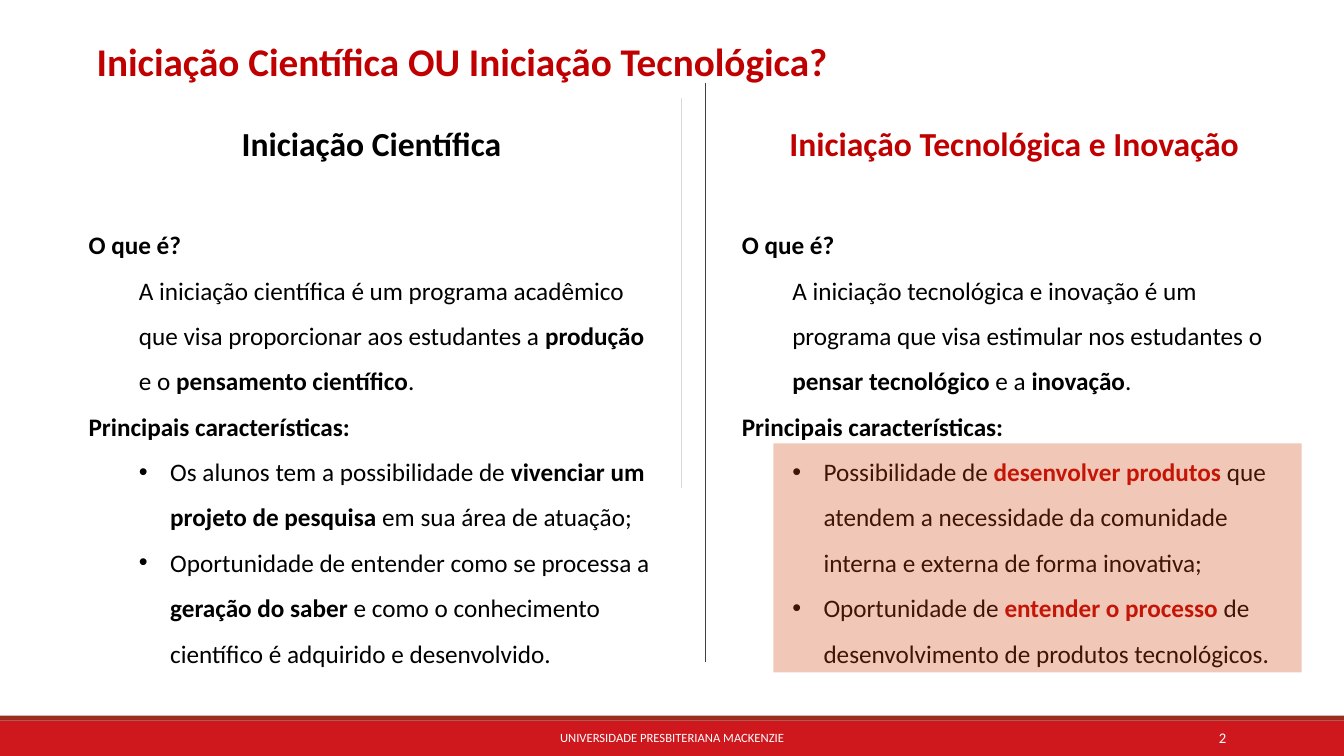
from dataclasses import dataclass
from lxml import etree
from pptx import Presentation
from pptx.dml.color import RGBColor
from pptx.enum.shapes import MSO_CONNECTOR, MSO_SHAPE
from pptx.enum.text import MSO_ANCHOR, PP_ALIGN
from pptx.oxml.ns import qn
from pptx.util import Inches, Pt

RECT = MSO_SHAPE.RECTANGLE
STRAIGHT = MSO_CONNECTOR.STRAIGHT
MIDDLE = MSO_ANCHOR.MIDDLE
LEFT, CENTER, RIGHT = PP_ALIGN.LEFT, PP_ALIGN.CENTER, PP_ALIGN.RIGHT


@dataclass(frozen=True)
class Theme:
    font: str = "Calibri"
    red: str = "C00000"
    black: str = "000000"
    white: str = "FFFFFF"
    footer: str = "CE181E"
    footer_edge: str = "9B2D1F"
    highlight: str = "D34817"
    pale_line: str = "D9D9D9"
    dark_line: str = "404040"
    title: float = 28
    heading: float = 24
    body: float = 18
    page: float = 10.5
    small: float = 9


T = Theme()


def write(tf, text, size=T.body, color=T.black, bold=False, accent=None,
          align=LEFT, spacing=None, before=None, margin=0, bullet=False):
    """Add a paragraph; parts between asterisks are bold, in the accent colour."""
    p = tf.paragraphs[0]
    if p.runs:
        p = tf.add_paragraph()
    p.alignment = align
    if spacing:
        p.line_spacing = spacing
    if before:
        p.space_before = Pt(before)
    pPr = p._p.get_or_add_pPr()
    pPr.set("marL", str(Inches(margin)))
    pPr.set("indent", str(Inches(-0.31 if bullet else 0)))
    if bullet:
        etree.SubElement(pPr, qn("a:buFont")).set("typeface", "Arial")
        etree.SubElement(pPr, qn("a:buChar")).set("char", "•")
    for i, part in enumerate(text.split("*")):
        if part:
            r = p.add_run()
            r.text = part
            r.font.name, r.font.size = T.font, Pt(size)
            r.font.bold = bold or i % 2 == 1
            run_color = accent if accent and i % 2 else color
            r.font.color.rgb = RGBColor.from_string(run_color)


def add_box(shapes, left, top, width, height, fill=None):
    """Add a filled rectangle, or a wrapping text box when there is no fill."""
    at = [Inches(v) for v in (left, top, width, height)]
    if not fill:
        sp = shapes.add_textbox(*at)
        sp.text_frame.word_wrap = True
        return sp
    sp = shapes.add_shape(RECT, *at)
    sp.shadow.inherit = False
    sp.fill.solid()
    sp.fill.fore_color.rgb = RGBColor.from_string(fill)
    sp.line.fill.background()
    return sp


prs = Presentation()
prs.slide_width, prs.slide_height = Inches(13.33), Inches(7.5)
s = prs.slides.add_slide(prs.slide_layouts[6])

# Footer
add_box(s.shapes, 0, 7.15, 13.33, 0.35, T.footer)
add_box(s.shapes, 0, 7.1, 13.33, 0.05, T.footer_edge)
for left, width, text, size, align in (
    (4.03, 5.27, "UNIVERSIDADE PRESBITERIANA MACKENZIE", T.small, CENTER),
    (10.83, 1.43, "2", T.page, RIGHT),
):
    tf = add_box(s.shapes, left, 7.18, width, 0.28).text_frame
    tf.vertical_anchor = MIDDLE
    write(tf, text, size=size, color=T.white, align=align)

# Title
tf = add_box(s.shapes, 0.86, 0.32, 8.68, 0.57).text_frame
write(tf, "Iniciação Científica OU Iniciação Tecnológica?",
      size=T.title, color=T.red, bold=True)

# Two columns compared
columns = (
    (0.78, 5.81, T.black, "Iniciação Científica",
     "A iniciação científica é um programa acadêmico que visa proporcionar "
     "aos estudantes a *produção* e o *pensamento científico*.",
     ("Os alunos tem a possibilidade de *vivenciar um projeto de pesquisa* "
      "em sua área de atuação;",
      "Oportunidade de entender como se processa a *geração do saber* "
      "e como o conhecimento científico é adquirido e desenvolvido.")),
    (7.26, 5.6, T.red, "Iniciação Tecnológica e Inovação",
     "A iniciação tecnológica e inovação é um programa que visa estimular "
     "nos estudantes o *pensar tecnológico* e a *inovação*.",
     ("Possibilidade de *desenvolver produtos *que atendem a necessidade "
      "da comunidade interna e externa de forma inovativa;",
      "Oportunidade de *entender o processo *de desenvolvimento de "
      "produtos tecnológicos.")),
)
for left, width, accent, heading, definition, features in columns:
    tf = add_box(s.shapes, left, 0.97, width, 5.71).text_frame
    write(tf, heading, size=T.heading, color=accent, bold=True,
          align=CENTER, spacing=1.5)
    write(tf, "O que é?", bold=True, spacing=1.5, before=36.6)
    write(tf, definition, spacing=1.5, margin=0.5)
    write(tf, "Principais características:", bold=True, spacing=1.5)
    for feature in features:
        write(tf, feature, accent=accent, spacing=1.5, margin=0.81, bullet=True)

# Dividers
for x, top, bottom, color, weight in (
    (6.76, 0.97, 4.84, T.pale_line, 1),
    (7, 0.82, 6.57, T.dark_line, 0.75),
):
    line = s.shapes.add_connector(
        STRAIGHT, Inches(x), Inches(top), Inches(x), Inches(bottom))
    line.line.color.rgb = RGBColor.from_string(color)
    line.line.width = Pt(weight)
    etree.SubElement(line._element.spPr, qn("a:effectLst"))

# Translucent highlight over the technology features
sp = add_box(s.shapes, 7.67, 4.4, 5.24, 2.27, T.highlight)
fill_color = sp._element.spPr.find(qn("a:solidFill"))[0]
etree.SubElement(fill_color, qn("a:alpha")).set("val", "30000")

prs.save("out.pptx")
